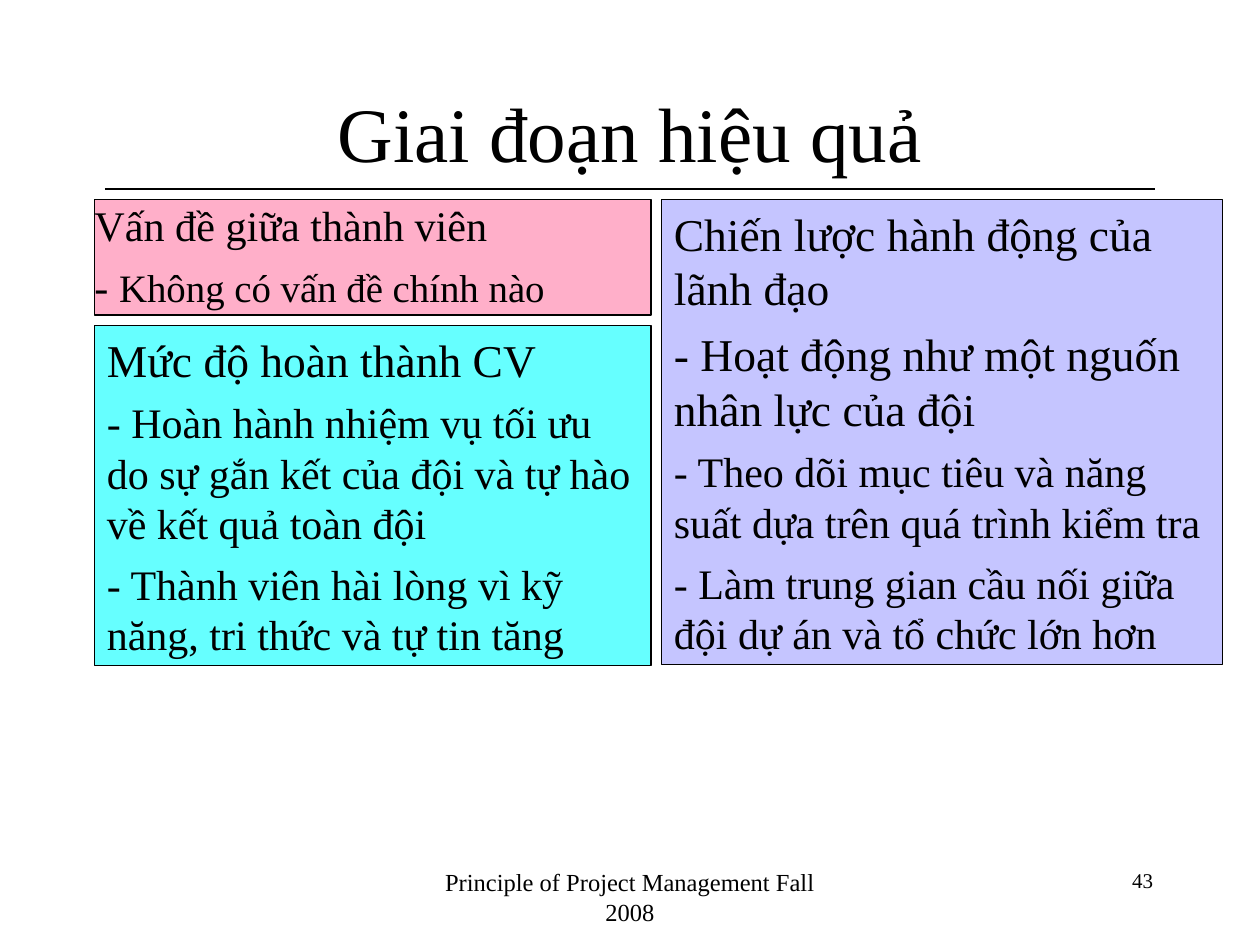
from lxml.etree import SubElement
from pptx import Presentation
from pptx.dml.color import RGBColor
from pptx.enum.shapes import MSO_CONNECTOR, MSO_SHAPE
from pptx.enum.text import MSO_ANCHOR, MSO_AUTO_SIZE, PP_ALIGN
from pptx.oxml.ns import qn
from pptx.util import Inches, Pt

FONT = "Times New Roman"
BLACK = "000000"
LEFT, RIGHT = 9, 63  # panel columns
TOP = 19  # first panel row


def grid(n):
    """Length of n grid units, twelve to the inch."""
    return Inches(n / 12)


def rgb(color):
    return RGBColor.from_string(color)


def style(font, size):
    font.name, font.size = FONT, Pt(size)
    font.color.rgb = rgb(BLACK)


def add_label(s, box, text, size, align, anchor=MSO_ANCHOR.TOP):
    tf = s.shapes.add_textbox(*map(grid, box)).text_frame
    tf.word_wrap = True
    tf.vertical_anchor = anchor
    p = tf.paragraphs[0]
    p.text, p.alignment = text, align
    style(p.font, size)


def add_rule(s, x1, x2, y):
    line = s.shapes.add_connector(MSO_CONNECTOR.STRAIGHT, *map(grid, (x1, y, x2, y)))
    line.line.color.rgb = rgb(BLACK)
    line.line.width = Pt(0.75)
    SubElement(line._element.spPr, qn("a:effectLst"))


def add_panel(s, box, color, opacity=100):
    """Add an outlined panel and return its text frame."""
    sp = s.shapes.add_shape(MSO_SHAPE.RECTANGLE, *map(grid, box))
    sp.shadow.inherit = False
    sp.fill.solid()
    sp.fill.fore_color.rgb = rgb(color)
    if opacity < 100:
        fill = sp._element.spPr.find(qn("a:solidFill"))
        SubElement(fill[0], qn("a:alpha"), val=str(opacity * 1000))
    sp.line.color.rgb = rgb(BLACK)
    sp.line.width = Pt(0.75)
    tf = sp.text_frame
    tf.word_wrap = True
    tf.vertical_anchor = MSO_ANCHOR.TOP
    return tf


def add_paragraphs(tf, paragraphs):
    """Write paragraphs given as (space before, [(text, size), ...])."""
    for i, (space, runs) in enumerate(paragraphs):
        p = tf.add_paragraph() if i else tf.paragraphs[0]
        p.alignment = PP_ALIGN.LEFT
        p.space_before = Pt(space)
        for text, size in runs:
            r = p.add_run()
            r.text = text
            style(r.font, size)


def add_issues(s, box):
    tf = add_panel(s, box, "FF6699", 52)
    tf.margin_left = tf.margin_right = tf.margin_top = tf.margin_bottom = 0
    add_paragraphs(tf, [
        (6.5, [("Vấn đề giữa thành viên", 24.1)]),
        (6, [("- ", 24.1), ("Không có vấn đề chính nào", 22.2)]),
    ])
    for p in tf.paragraphs:
        pPr = p._p.get_or_add_pPr()
        pPr.set("marL", str(Inches(0.38)))
        pPr.set("indent", str(-Inches(0.38)))


def add_list(s, box, color, large, small, opacity=100):
    """Add a panel of large paragraphs followed by small ones."""
    tf = add_panel(s, box, color, opacity)
    tf.auto_size = MSO_AUTO_SIZE.SHAPE_TO_FIT_TEXT
    add_paragraphs(tf, [(6.5, [(t, 26)]) for t in large]
                   + [(6, [(t, 24)]) for t in small])


def main():
    prs = Presentation()
    prs.slide_width, prs.slide_height = grid(120), grid(90)
    s = prs.slides.add_slide(prs.slide_layouts[6])

    add_rule(s, 10, 110, 18)
    add_label(s, (LEFT, 5, 102, 15), "Giai đoạn hiệu quả", 44,
              PP_ALIGN.CENTER, MSO_ANCHOR.MIDDLE)
    add_issues(s, (LEFT, TOP, 53, 11))
    add_label(s, (41, 82, 38, 6), "Principle of Project Management Fall 2008", 14,
              PP_ALIGN.CENTER)
    add_label(s, (86, 82, 25, 6), "43", 12, PP_ALIGN.RIGHT)
    add_list(s, (RIGHT, TOP, 53.4, 44.3), "9999FF",
             ["Chiến lược hành động của lãnh đạo",
              "- Hoạt động như một nguốn nhân lực của đội"],
             ["- Theo dõi mục tiêu và năng suất dựa trên quá trình kiểm tra",
              "- Làm trung gian cầu nối giữa đội dự án và tổ chức lớn hơn"],
             opacity=56)
    add_list(s, (LEFT, TOP + 12, 53, 32.4), "66FFFF",
             ["Mức độ hoàn thành CV"],
             ["- Hoàn hành nhiệm vụ tối ưu do sự gắn kết của đội và tự hào "
              "về kết quả toàn đội",
              "- Thành viên hài lòng vì kỹ năng, tri thức và tự tin tăng"])
    prs.save("out.pptx")


if __name__ == "__main__":
    main()
